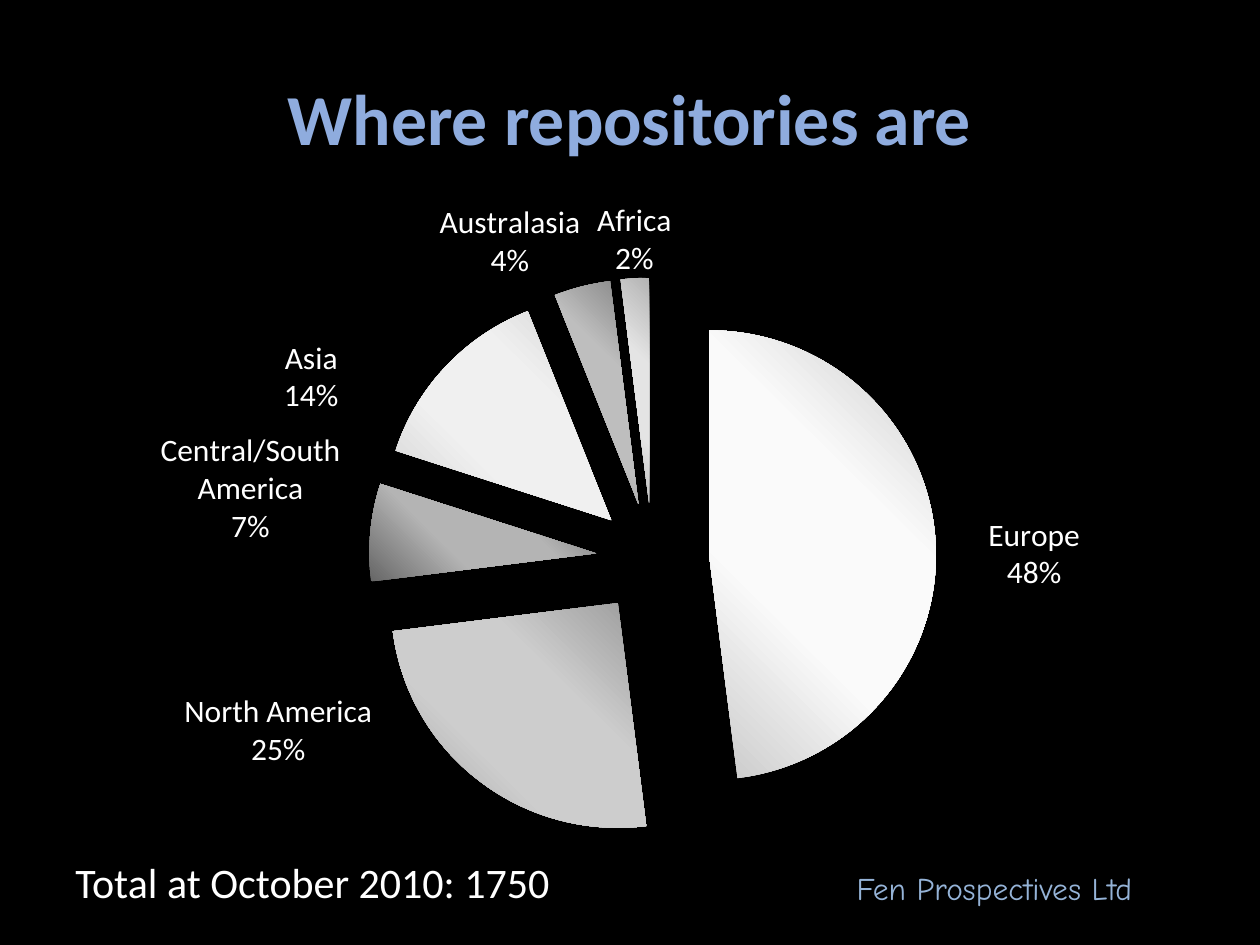
import copy

import lxml.etree
import pptx
import pptx.chart.data
import pptx.dml.color
import pptx.enum.chart
import pptx.enum.text
import pptx.oxml
import pptx.oxml.ns
import pptx.util

COLOURS = {"background": "000000", "title": "8FACDE", "text": "FFFFFF", "credit": "95B3D7"}
COLUMNS, ROWS = 100, 150

# Region: share in percent, edge grey and centre grey of its slice
REGIONS = {
    "Europe": (48, "C8C8C8", "FAFAFA"),
    "North America": (25, "999999", "CDCDCD"),
    "Central/South America": (7, "666666", "B4B4B4"),
    "Asia": (14, "D0D0D0", "F0F0F0"),
    "Australasia": (4, "808080", "BEBEBE"),
    "Africa": (2, "B4B4B4", "E4E4E4"),
}

# Label shifts as shares of the chart's width and height
LABEL_SHIFTS = {
    "Europe": (0.04, 0.02),
    "North America": (-0.09, -0.14),
    "Central/South America": (-0.02, 0.02),
    "Asia": (-0.09, 0.08),
}


class SlideBuilder:
    """Holds the style and the current slide; lengths are grid columns and rows."""

    def __init__(self, deck):
        self.deck = deck
        self.font = "Calibri"
        self.page = deck.slides.add_slide(deck.slide_layouts[5])
        fill = self.page.background.fill
        fill.solid()
        fill.fore_color.rgb = self.colour("background")

    def colour(self, name):
        return pptx.dml.color.RGBColor.from_string(COLOURS[name])

    def area(self, left, top, width, height):
        column = self.deck.slide_width / COLUMNS
        row = self.deck.slide_height / ROWS
        return (round(left * column), round(top * row),
                round(width * column), round(height * row))

    def style(self, font, size, colour, name=None, bold=False):
        font.name = name or self.font
        font.size = pptx.util.Pt(size)
        font.bold = bold
        font.color.rgb = self.colour(colour)

    def title(self, text, area):
        box = self.page.shapes.title
        box.left, box.top, box.width, box.height = self.area(*area)
        box.text_frame.text = text
        box.text_frame.vertical_anchor = pptx.enum.text.MSO_ANCHOR.MIDDLE
        para = box.text_frame.paragraphs[0]
        para.alignment = pptx.enum.text.PP_ALIGN.CENTER
        self.style(para.font, 41, "title", bold=True)

    def text(self, text, area, size, colour, name=None):
        box = self.page.shapes.add_textbox(*self.area(*area))
        box.text_frame.word_wrap = True
        para = box.text_frame.paragraphs[0]
        para.text = text
        self.style(para.font, size, colour, name)

    def layout(self, content):
        return pptx.oxml.parse_xml(
            f'<c:layout {pptx.oxml.ns.nsdecls("c")}>'
            f'<c:manualLayout>{content}</c:manualLayout></c:layout>')

    def slice_fill(self, point, edge, centre):
        point.format.line.fill.background()
        stops = "".join(
            f'<a:gs pos="{place}"><a:srgbClr val="{grey}"/></a:gs>'
            for place, grey in ((0, edge), (35000, centre), (65000, centre), (100000, edge)))
        gradient = pptx.oxml.parse_xml(
            f'<a:gradFill {pptx.oxml.ns.nsdecls("a")} rotWithShape="1">'
            f'<a:gsLst>{stops}</a:gsLst><a:lin ang="18900000" scaled="0"/></a:gradFill>')
        point.format.line._ln.addprevious(gradient)

    def shift_labels(self, labels, regions, shifts):
        tag = pptx.oxml.ns.qn
        shared = [part for part in labels if part.tag != tag("c:showLeaderLines")]
        for place, (region, (across, down)) in enumerate(shifts.items()):
            label = lxml.etree.Element(tag("c:dLbl"))
            lxml.etree.SubElement(label, tag("c:idx"), val=str(list(regions).index(region)))
            label.append(self.layout(f'<c:x val="{across}"/><c:y val="{down}"/>'))
            label.extend(copy.deepcopy(shared))
            labels.insert(place, label)

    def pie(self, regions, shifts, area, plot_area, explosion):
        data = pptx.chart.data.CategoryChartData()
        data.categories = list(regions)
        data.add_series("Series 1", [share for share, *_ in regions.values()])
        chart = self.page.shapes.add_chart(
            pptx.enum.chart.XL_CHART_TYPE.PIE, *self.area(*area), data).chart
        chart.has_legend = False
        chart.has_title = False
        self.style(chart.font, 18, "text")

        # Slices
        plot = chart.plots[0]
        plot.vary_by_categories = True
        series = plot.series[0]
        for index, (_, edge, centre) in enumerate(regions.values()):
            self.slice_fill(series.points[index], edge, centre)
        tag = pptx.oxml.ns.qn
        offset = lxml.etree.Element(tag("c:explosion"), val=str(explosion))
        series._element.find(tag("c:dPt")).addprevious(offset)

        # Labels
        labels = series.data_labels
        labels.show_category_name = True
        labels.show_percentage = True
        labels.show_value = False
        labels.number_format = "0%"
        labels.number_format_is_linked = False
        labels.position = pptx.enum.chart.XL_LABEL_POSITION.OUTSIDE_END
        self.style(labels.font, 18, "text")
        separator = lxml.etree.Element(tag("c:separator"))
        separator.text = "\n"
        labels._element.find(tag("c:showBubbleSize")).addnext(separator)
        for leader in labels._element.findall(tag("c:showLeaderLines")):
            leader.set("val", "0")
        self.shift_labels(labels._element, regions, shifts)

        # Inner plot area
        modes = '<c:layoutTarget val="inner"/><c:xMode val="edge"/><c:yMode val="edge"/>'
        sizes = "".join(f'<c:{key} val="{share}"/>' for key, share in zip("xywh", plot_area))
        plot_element = chart._chartSpace.chart.plotArea
        for old in plot_element.findall(tag("c:layout")):
            plot_element.remove(old)
        plot_element.insert(0, self.layout(modes + sizes))


def main():
    deck = pptx.Presentation()
    deck.slide_width = pptx.util.Inches(10)
    deck.slide_height = pptx.util.Inches(7.5)
    slide = SlideBuilder(deck)

    # Heading and chart
    slide.title("Where repositories are", (5, 6, 90, 25))
    slide.pie(REGIONS, LABEL_SHIFTS, (5, 31, 90, 107), (0.27, 0.11, 0.5, 0.85), 25)

    # Credit and total
    slide.text("Fen Prospectives Ltd", (67, 137, 31, 8), 18, "credit", "Comic Neue")
    slide.text("Total at October 2010: 1750", (5, 135, 51, 10), 24, "text")
    deck.save("out.pptx")


if __name__ == "__main__":
    main()
